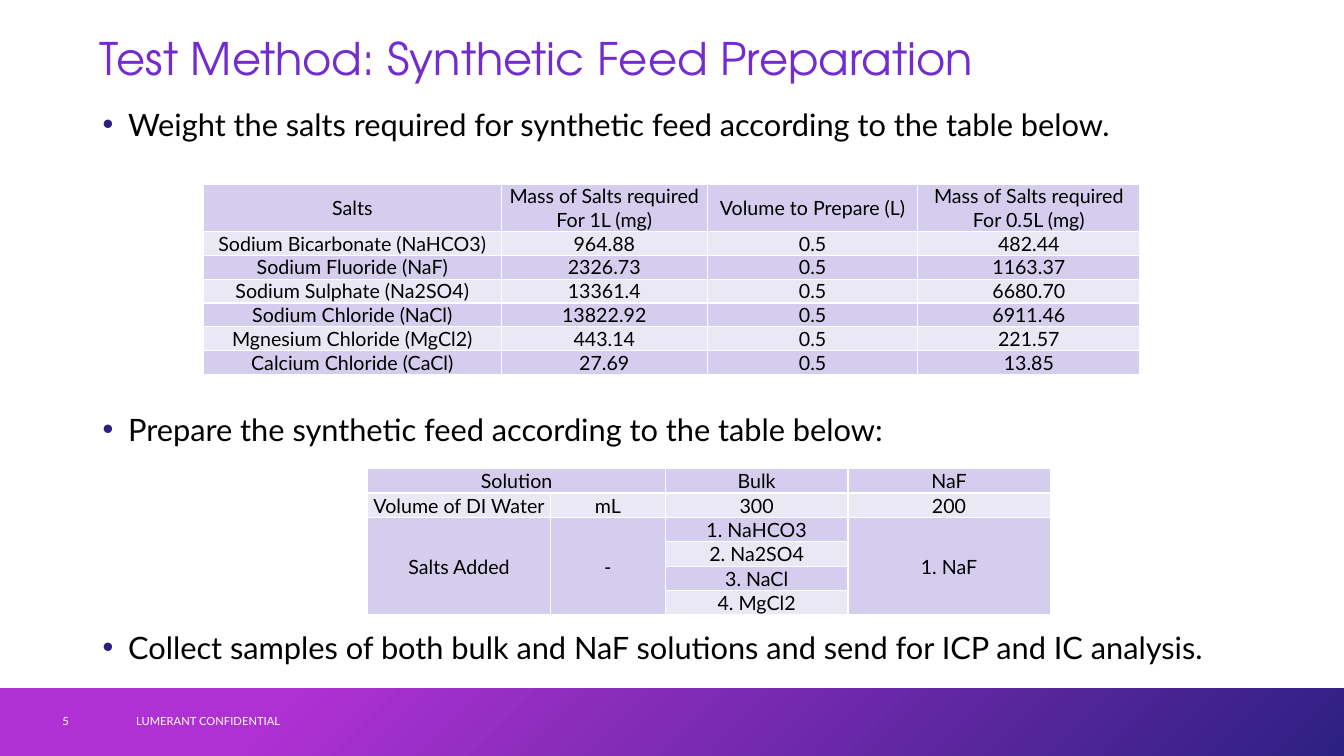
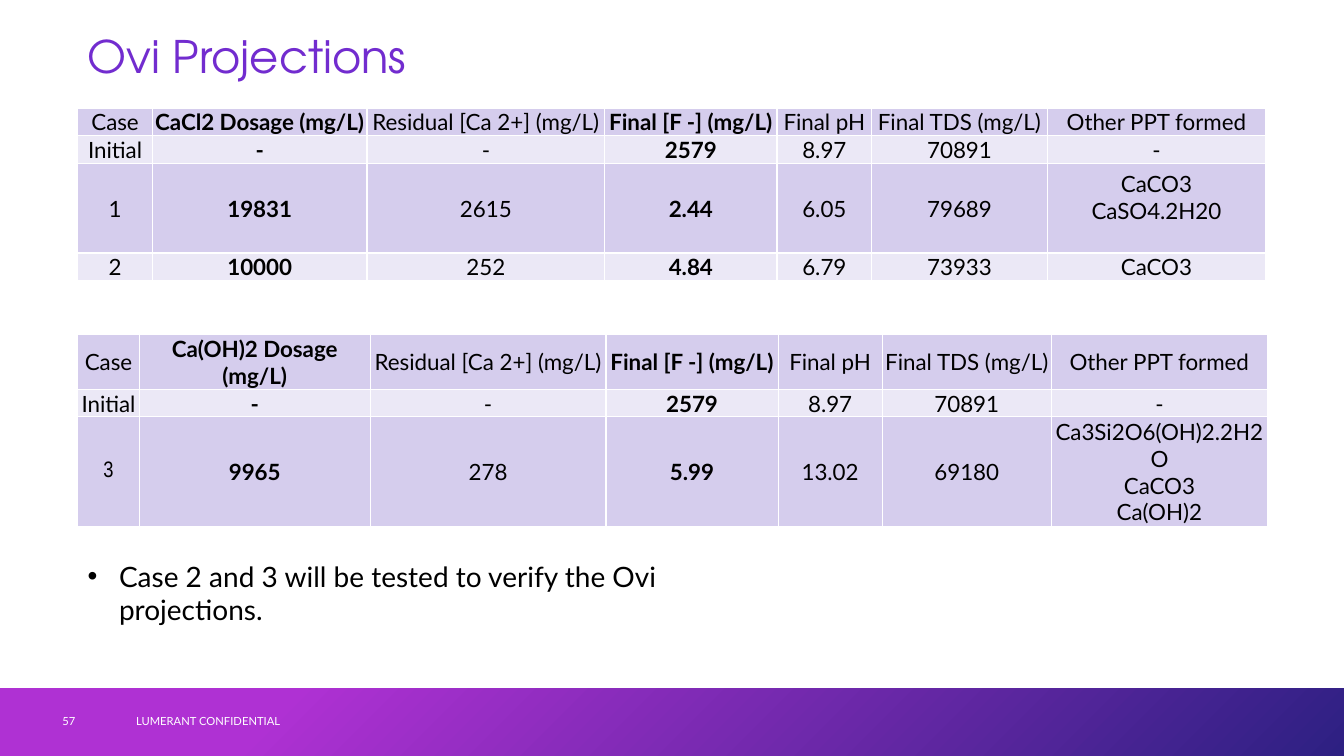
from dataclasses import dataclass

from lxml import etree
from pptx import Presentation
from pptx.dml.color import RGBColor as RGB
from pptx.enum.shapes import MSO_SHAPE as SHAPE
from pptx.enum.text import MSO_ANCHOR as ANCHOR, PP_ALIGN as ALIGN
from pptx.oxml.ns import qn
from pptx.util import Cm, Pt


@dataclass(frozen=True)
class Theme:
    title: str = "722CCF"
    text: str = "000000"
    white: str = "FFFFFF"
    violet: str = "AF31D3"
    indigo: str = "2D2082"
    row_dark: str = "D5CDED"
    row_light: str = "EBE8F6"
    title_font: str = "TeX Gyre Adventor"
    body_font: str = "Lato"
    narrow_font: str = "Arial Narrow"
    title_size: int = 32
    list_size: int = 22
    note_size: int = 20
    case_size: int = 16
    feed_size: int = 14
    footer_size: int = 8


T = Theme()


def write(tf, text, size, color=T.text, font=T.body_font, bold=False, align=ALIGN.LEFT,
          anchor=ANCHOR.TOP, spacing=1.0, gaps=(), indent=0, bullet=None):
    """Fill a text frame, one paragraph a line; gaps are the points before each later one."""
    tf.word_wrap = True
    tf.vertical_anchor = anchor
    for i, line in enumerate(text.split("\n")):
        p = tf.add_paragraph() if i else tf.paragraphs[0]
        p.alignment = align
        p.line_spacing = spacing
        if i and gaps:
            p.space_before = Pt(gaps[i - 1])
        if bullet:
            pPr = p._p.get_or_add_pPr()
            pPr.set("marL", str(Cm(indent)))
            pPr.set("indent", str(-Cm(indent)))
            clr = etree.SubElement(pPr, qn("a:buClr"))
            etree.SubElement(clr, qn("a:srgbClr"), val=bullet)
            etree.SubElement(pPr, qn("a:buFont"), typeface="Arial")
            etree.SubElement(pPr, qn("a:buChar"), char="•")
        r = p.add_run()
        r.text = line
        r.font.name, r.font.size, r.font.bold = font, Pt(size), bold
        r.font.color.rgb = RGB.from_string(color)


def add_table(s, left, top, widths, heights, rows, size, margin=0, bold_cols=(), merges=()):
    """Add a banded table with white rules; merges are (row, col, last row, last col)."""
    tbl = s.shapes.add_table(len(rows), len(widths), Cm(left), Cm(top),
                             Cm(sum(widths)), Cm(sum(heights))).table
    tbl.first_row = tbl.horz_banding = False
    for col, width in zip(tbl.columns, widths):
        col.width = Cm(width)
    for i, (row, height) in enumerate(zip(rows, heights)):
        tbl.rows[i].height = Cm(height)
        for j, text in enumerate(row):
            cell = tbl.cell(i, j)
            cell.margin_left = cell.margin_right = cell.margin_top = Cm(margin)
            cell.margin_bottom = 0
            cell.fill.solid()
            cell.fill.fore_color.rgb = RGB.from_string(T.row_light if i % 2 else T.row_dark)
            write(cell.text_frame, text, size, bold=j in bold_cols, align=ALIGN.CENTER)
            cell.vertical_anchor = ANCHOR.MIDDLE
            tcPr = cell._tc.get_or_add_tcPr()
            for k, side in enumerate(("lnL", "lnR", "lnT", "lnB")):
                ln = etree.Element(qn(f"a:{side}"), w=str(Pt(1)))
                fill = etree.SubElement(ln, qn("a:solidFill"))
                etree.SubElement(fill, qn("a:srgbClr"), val=T.white)
                tcPr.insert(k, ln)
    for r1, c1, r2, c2 in merges:
        tbl.cell(r1, c1).merge(tbl.cell(r2, c2))
    return tbl


prs = Presentation()
prs.slide_width, prs.slide_height = Cm(33.87), Cm(19.05)

# Shared frame: gradient band, footer, page number and title
slides = []
for title, number, left, top in (
    ("Test Method: Synthetic Feed Preparation", "5", 2.26, 0.69),
    ("Ovi Projections", "57", 1.96, 0.64),
):
    s = prs.slides.add_slide(prs.slide_layouts[6])
    slides.append(s)
    band = s.shapes.add_shape(SHAPE.RECTANGLE, 0, Cm(17.35), prs.slide_width, Cm(1.7))
    band.shadow.inherit = False
    band.line.fill.background()
    band.fill.gradient()
    band.fill.gradient_angle = 315
    for stop, position, color in zip(band.fill.gradient_stops, (0.21, 1), (T.violet, T.indigo)):
        stop.position = position
        stop.color.rgb = RGB.from_string(color)
    for text, x, width in (("LUMERANT CONFIDENTIAL", 3.18, 11.43), (number, 1.32, 1.83)):
        box = s.shapes.add_textbox(Cm(x), Cm(17.65), Cm(width), Cm(1.02))
        write(box.text_frame, text, T.footer_size, T.white, anchor=ANCHOR.MIDDLE)
    box = s.shapes.add_textbox(Cm(left), Cm(top), Cm(29.21), Cm(1.7))
    write(box.text_frame, title, T.title_size, T.title, T.title_font,
          anchor=ANCHOR.MIDDLE, spacing=0.9)

feed, projections = slides

# Synthetic feed preparation
steps = feed.shapes.add_textbox(Cm(2.34), Cm(2.72), Cm(29.21), Cm(14.55))
write(steps.text_frame,
      "Weight the salts required for synthetic feed according to the table below.\n"
      "Prepare the synthetic feed according to the table below:\n"
      "Collect samples of both bulk and NaF solutions and send for ICP and IC analysis.",
      T.list_size, spacing=0.8, gaps=(196.7, 134.6), indent=0.64, bullet=T.indigo)

salts = [
    ("Sodium Bicarbonate (NaHCO3)", "964.88", "482.44"),
    ("Sodium Fluoride (NaF)", "2326.73", "1163.37"),
    ("Sodium Sulphate (Na2SO4)", "13361.4", "6680.70"),
    ("Sodium Chloride (NaCl)", "13822.92", "6911.46"),
    ("Mgnesium Chloride (MgCl2)", "443.14", "221.57"),
    ("Calcium Chloride (CaCl)", "27.69", "13.85"),
]
salt_rows = [("Salts", "Mass of Salts required For 1L (mg)", "Volume to Prepare (L)",
              "Mass of Salts required\nFor 0.5L (mg)")]
salt_rows += [(name, per_litre, "0.5", mass) for name, per_litre, mass in salts]
add_table(feed, 5.13, 4.65, (7.5, 5.2, 5.3, 5.6), [1.18] + [0.6] * 6, salt_rows, T.feed_size)

solution_rows = [
    ("Solution", "", "Bulk", "NaF"),
    ("Volume of DI Water", "mL", "300", "200"),
    ("Salts Added", "-", "1. NaHCO3", "1. NaF"),
    ("", "", "2. Na2SO4", ""),
    ("", "", "3. NaCl", ""),
    ("", "", "4. MgCl2", ""),
]
add_table(feed, 9.27, 11.81, (4.6, 2.9, 4.6, 5.1), [0.61] * 6, solution_rows, T.feed_size,
          margin=0.02, merges=[(0, 0, 0, 1)] + [(2, c, 5, c) for c in (0, 1, 3)])

# Projections by dosing agent
initial = ("Initial", "-", "-", "2579", "8.97", "70891", "-")
case_tables = []
for agent, top, widths, heights, cases in (
    ("CaCl2", 2.72, (1.88, 5.41, 5.99, 4.34, 2.39, 4.42, 5.51), (0.69, 0.69, 2.26, 0.69), [
        ("1", "19831", "2615", "2.44", "6.05", "79689", "CaCO3\nCaSO4.2H20"),
        ("2", "10000", "252", "4.84", "6.79", "73933", "CaCO3"),
    ]),
    ("Ca(OH)2", 8.43, (1.55, 5.82, 5.94, 4.34, 2.62, 4.27, 5.44), (1.37, 0.69, 2.77), [
        ("3", "9965", "278", "5.99", "13.02", "69180", "Ca3Si2O6(OH)2.2H2O\nCaCO3\nCa(OH)2"),
    ]),
):
    header = ("Case", f"{agent} Dosage (mg/L)", "Residual [Ca 2+] (mg/L)", "Final [F -] (mg/L)",
              "Final pH", "Final TDS (mg/L)", "Other PPT formed")
    case_tables.append(add_table(projections, 1.96, top, widths, heights,
                                 [header, initial] + cases, T.case_size,
                                 margin=0.02, bold_cols=(1, 3)))
chloride, hydroxide = case_tables
chloride.cell(2, 6).margin_bottom = Cm(0.55)
hydroxide.cell(2, 0).text_frame.paragraphs[0].runs[0].font.name = T.narrow_font

note = projections.shapes.add_textbox(Cm(1.96), Cm(13.97), Cm(17.58), Cm(2))
write(note.text_frame, "Case 2 and 3 will be tested to verify the Ovi projections.",
      T.note_size, indent=0.79, bullet=T.text)

prs.save("out.pptx")
